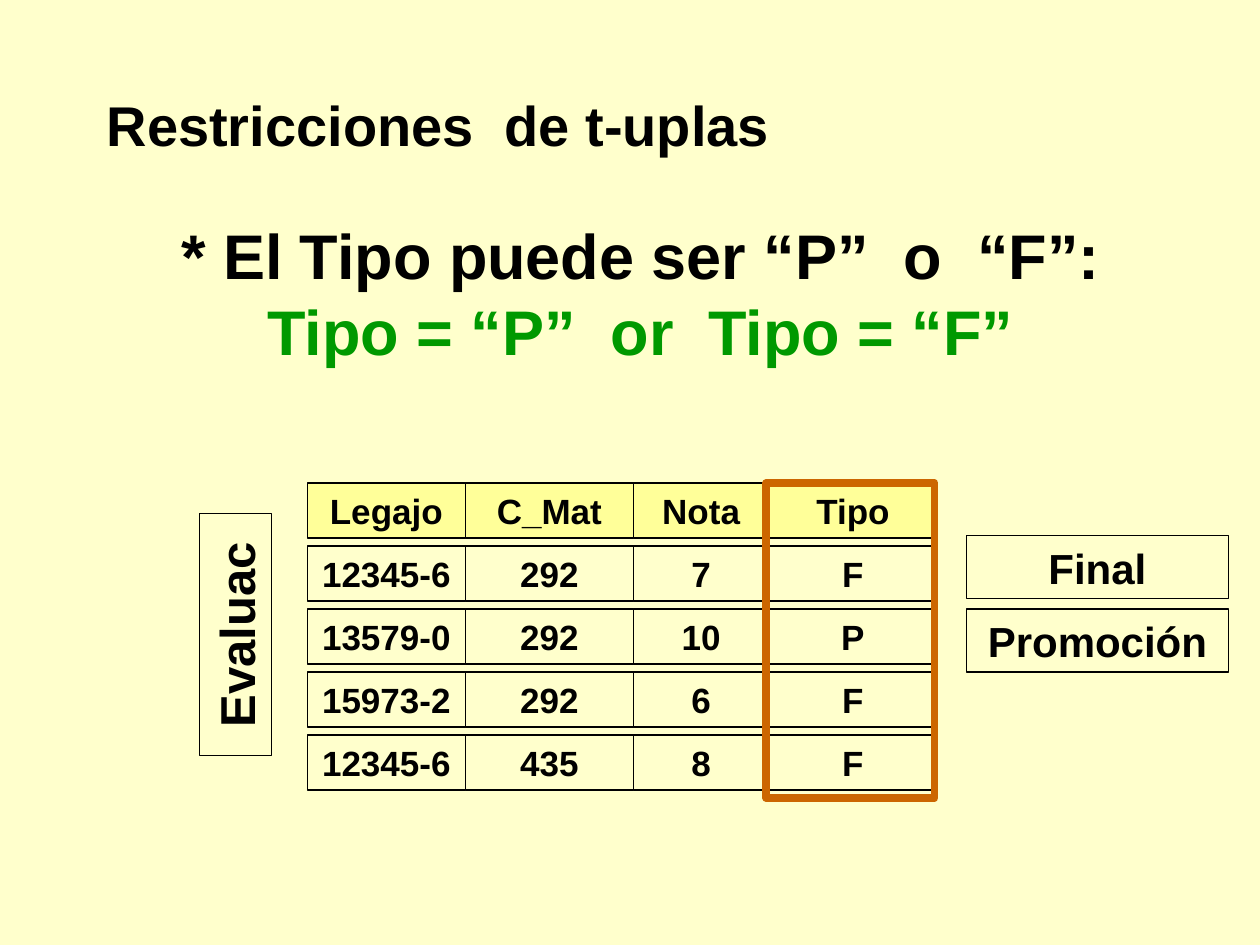
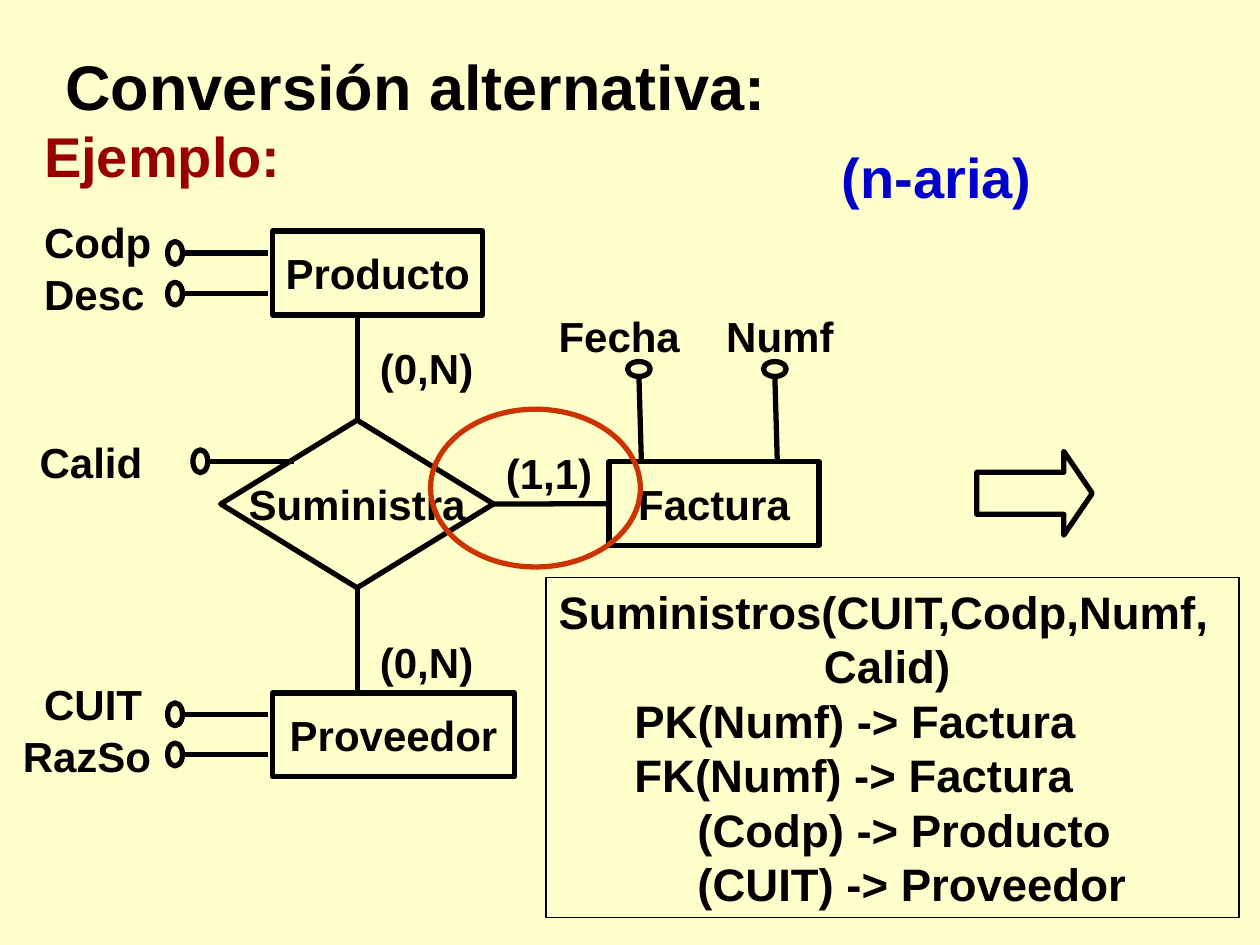
from itertools import accumulate

from lxml.etree import SubElement
from pptx import Presentation
from pptx.dml.color import RGBColor
from pptx.enum.shapes import MSO_CONNECTOR, MSO_SHAPE
from pptx.enum.text import MSO_ANCHOR, PP_ALIGN
from pptx.oxml.ns import qn
from pptx.util import Cm, Pt

CREAM = RGBColor(0xFF, 0xFF, 0xCC)
YELLOW = RGBColor(0xFF, 0xFF, 0x99)
BLACK = RGBColor(0, 0, 0)
GREEN = RGBColor(0, 0x99, 0)
MAROON = RGBColor(0x99, 0, 0)
BLUE = RGBColor(0, 0, 0xCC)
ORANGE = RGBColor(0xCC, 0x66, 0)
RED = RGBColor(0xCC, 0x33, 0)

THIN, THICK = 0.75, 3
SMALL, BODY, HEAD, BIG = 20, 24, 32, 36


class Deck:
    """Draws elements in one shared style on the current slide."""

    def __init__(self):
        self.prs = Presentation()
        self.prs.slide_width, self.prs.slide_height = Cm(25.4), Cm(19.05)

    def page(self):
        """Start a new slide."""
        slide = self.prs.slides.add_slide(self.prs.slide_layouts[6])
        slide.background.fill.solid()
        slide.background.fill.fore_color.rgb = CREAM
        self.shapes = slide.shapes

    def letter(self, shape, lines, size, align, wrap):
        """Fill a shape with (text, colour, indent) lines."""
        frame = shape.text_frame
        frame.word_wrap = wrap
        for i, (text, color, indent) in enumerate(lines):
            para = frame.paragraphs[0] if i == 0 else frame.add_paragraph()
            para.alignment = align
            if indent:
                para._p.get_or_add_pPr().set("marL", str(Cm(indent)))
            run = para.add_run()
            run.text = text
            font = run.font
            font.name, font.size, font.bold = "Arial", Pt(size), True
            font.color.rgb = color

    def label(self, area, lines, size=BODY, align=PP_ALIGN.LEFT):
        """Add a text box."""
        box = self.shapes.add_textbox(*map(Cm, area))
        self.letter(box, lines, size, align, True)

    def form(self, area, kind=MSO_SHAPE.RECTANGLE, line=BLACK, width=THICK, fill=None):
        """Add an outlined shape."""
        shape = self.shapes.add_shape(kind, *map(Cm, area))
        shape.shadow.inherit = False
        if fill is None:
            shape.fill.background()
        else:
            shape.fill.solid()
            shape.fill.fore_color.rgb = fill
        shape.line.color.rgb = line
        shape.line.width = Pt(width)
        return shape

    def box(self, area, text, size=BODY, **style):
        """Add an outlined shape with centred text."""
        shape = self.form(area, **style)
        shape.text_frame.vertical_anchor = MSO_ANCHOR.MIDDLE
        self.letter(shape, [(text, BLACK, 0)], size, PP_ALIGN.CENTER, False)
        return shape

    def link(self, x1, y1, x2, y2):
        """Add a thick straight line."""
        line = self.shapes.add_connector(MSO_CONNECTOR.STRAIGHT, *map(Cm, (x1, y1, x2, y2)))
        line.line.color.rgb = BLACK
        line.line.width = Pt(THICK)
        SubElement(line._element.spPr, qn("a:effectLst"))
        return line

    def pin(self, x, y, upright=False):
        """Add an attribute mark: a small ring and its stem."""
        if upright:
            self.link(x, y + 0.15, x + 0.05, y + 1.88)
            wide, high = 0.46, 0.3
        else:
            self.link(x + 0.15, y, x + 1.88, y)
            wide, high = 0.3, 0.46
        self.form((x - wide / 2, y - high / 2, wide, high), MSO_SHAPE.OVAL)

    def grid(self, left, top, widths, rows, step, high):
        """Add rows of cells, the first one shaded."""
        lefts = list(accumulate(widths[:-1], initial=left))
        for i, row in enumerate(rows):
            for x, wide, text in zip(lefts, widths, row):
                self.box((x, top + i * step, wide, high), text, SMALL,
                         width=THIN, fill=None if i else YELLOW)


def tuples(deck):
    """Draw the slide on tuple constraints."""
    deck.page()
    deck.label((1.07, 4.24, 23.7, 3.3),
               [("* El Tipo puede ser “P”  o  “F”:", BLACK, 0),
                ("Tipo = “P”  or  Tipo = “F”", GREEN, 0)], BIG, PP_ALIGN.CENTER)
    deck.label((1.9, 1.7, 15.04, 1.63), [("Restricciones  de t-uplas", BLACK, 0)], HEAD)
    rows = [
        ("Legajo", "C_Mat", "Nota", "Tipo"),
        ("12345-6", "292", "7", "F"),
        ("13579-0", "292", "10", "P"),
        ("15973-2", "292", "6", "F"),
        ("12345-6", "435", "8", "F"),
    ]
    deck.grid(6.2, 9.74, (3.18, 3.39, 2.73, 3.39), rows, 1.27, 1.11)
    name = deck.box((2.31, 12.07, 4.88, 1.45), "Evaluac", 28, width=THIN)
    name.rotation = 270
    deck.form((15.45, 9.74, 3.39, 6.35), line=ORANGE, width=4.5)
    for y, text in ((10.8, "Final"), (12.28, "Promoción")):
        deck.box((19.48, y, 5.29, 1.27), text, width=THIN)


def supply(deck):
    """Draw the slide on the alternative conversion."""
    deck.page()
    deck.label((1.07, 0.84, 23.06, 1.78), [("Conversión alternativa:", BLACK, 0)], BIG)
    deck.label((0.64, 2.33, 5.5, 1.63), [("Ejemplo:", MAROON, 0)], HEAD)
    deck.label((16.72, 2.75, 5.72, 1.63), [("(n-aria)", BLUE, 0)], HEAD)

    deck.box((5.5, 4.66, 4.23, 1.69), "Producto")
    deck.box((5.5, 13.97, 4.87, 1.69), "Proveedor")
    hub = deck.box((4.45, 8.47, 5.5, 3.38), "Suministra", kind=MSO_SHAPE.DIAMOND)
    bill = deck.box((12.28, 9.31, 4.23, 1.69), "Factura")
    deck.link(7.2, 8.47, 7.2, 6.35).begin_connect(hub, 0)
    deck.link(7.2, 11.85, 7.2, 13.97).begin_connect(hub, 2)
    side = deck.link(9.95, 10.16, 12.28, 10.16)
    side.begin_connect(hub, 3)
    side.end_connect(bill, 1)

    for x, y in ((3.53, 5.1), (3.53, 5.92), (3.53, 14.4), (3.53, 15.21), (4.04, 9.3)):
        deck.pin(x, y)
    for x in (12.88, 15.62):
        deck.pin(x, 7.44, upright=True)

    labels = [
        (0.64, 4.23, "Codp"), (0.64, 5.29, "Desc"),
        (0.64, 13.55, "CUIT"), (0.21, 14.61, "RazSo"),
        (0.55, 8.68, "Calid"), (11.01, 6.14, "Fecha"), (14.39, 6.14, "Numf"),
        (7.41, 6.77, "(0,N)"), (7.41, 12.7, "(0,N)"), (9.95, 8.89, "(1,1)"),
    ]
    for x, y, text in labels:
        deck.label((x, y, 3.6, 1.27), [(text, BLACK, 0)])

    arrow = deck.form((19.69, 9.1, 2.33, 1.69), MSO_SHAPE.RIGHT_ARROW)
    arrow.adjustments[1] = 0.34
    area = (11.01, 11.64, 13.97, 6.86)
    deck.form(area, width=THIN)
    lines = [
        ("Suministros(CUIT,Codp,Numf,", 0), ("Calid)", 5.35),
        ("PK(Numf) -> Factura", 1.53), ("FK(Numf) -> Factura", 1.53),
        ("(Codp) -> Producto", 2.8), ("(CUIT) -> Proveedor", 2.8),
    ]
    deck.label(area, [(text, BLACK, indent) for text, indent in lines], 26)
    deck.form((8.68, 8.25, 4.23, 3.18), MSO_SHAPE.OVAL, RED)


def main():
    """Build and save both slides."""
    deck = Deck()
    tuples(deck)
    supply(deck)
    deck.prs.save("out.pptx")


if __name__ == "__main__":
    main()
